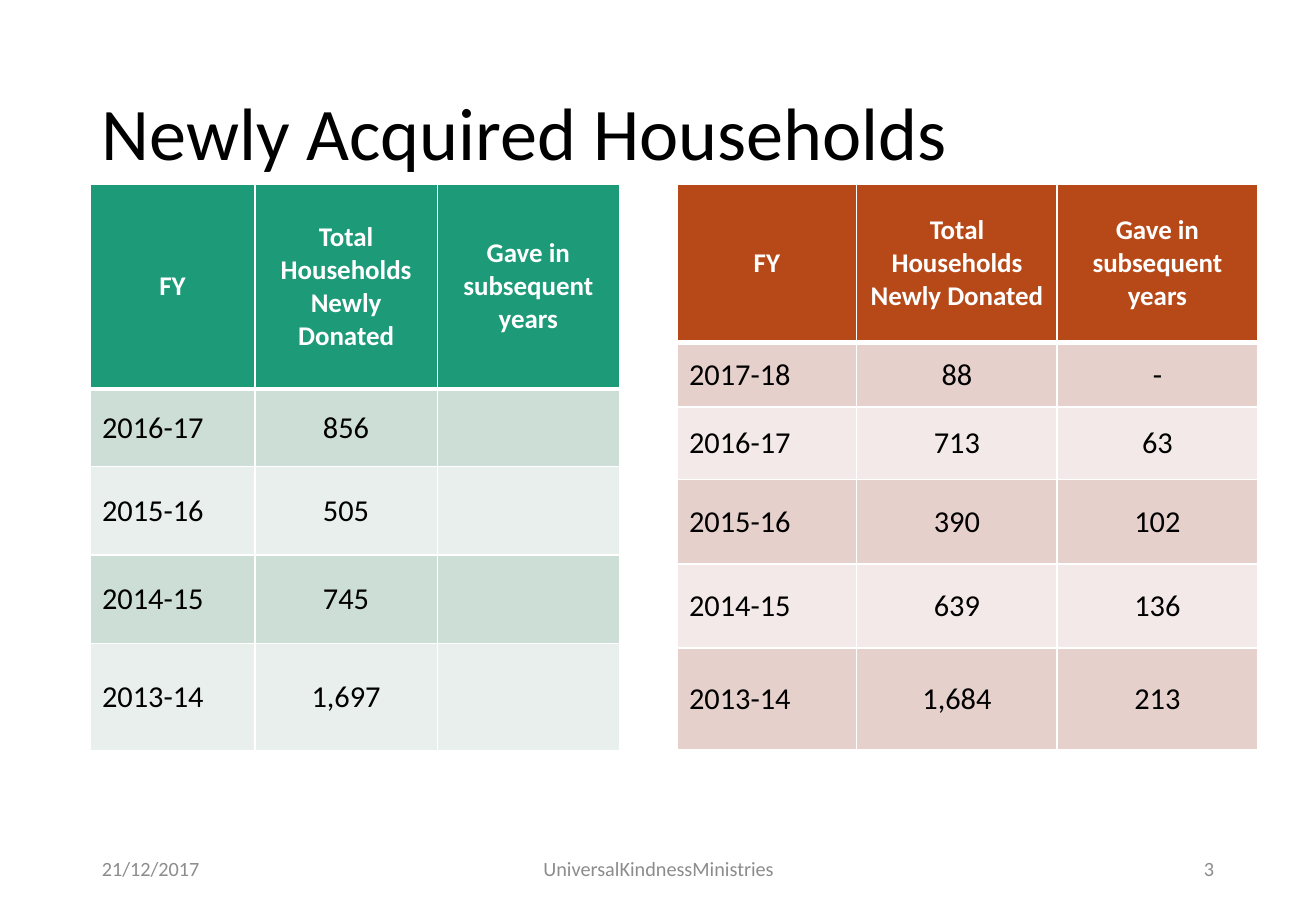
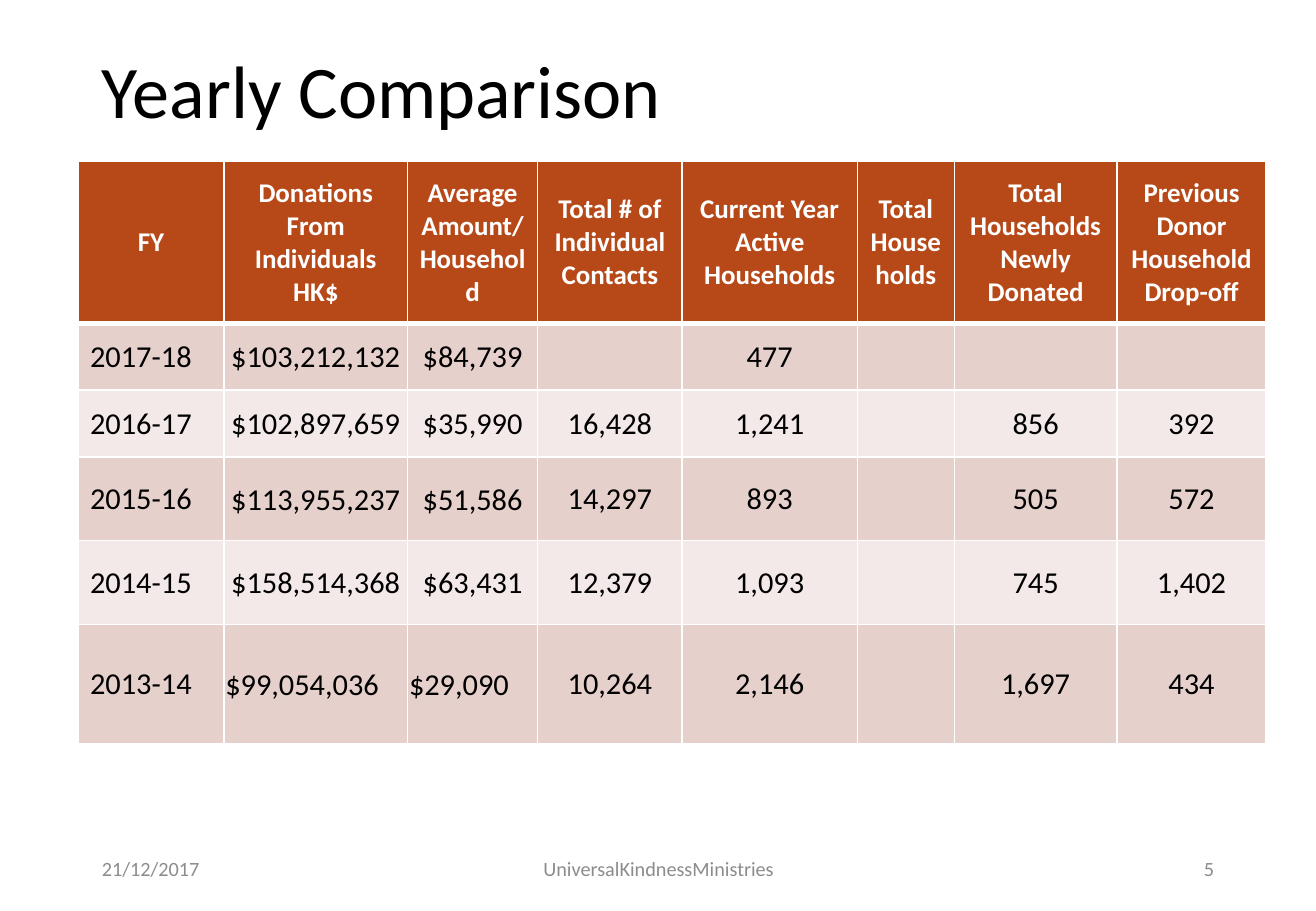
from lxml import etree
from pptx import Presentation
from pptx.dml import color
from pptx.enum import text as t
from pptx.oxml import ns
from pptx.util import Cm, Pt

FONT = "Calibri"
WHITE, BLACK, GREY = "FFFFFF", "000000", "8C8C8C"
GREEN = ("1D9A78", "CDDED6", "E8EFEC")
RUST = ("B74919", "E6D0CC", "F3E9E8")
LEFT, CENTER, RIGHT = t.PP_ALIGN.LEFT, t.PP_ALIGN.CENTER, t.PP_ALIGN.RIGHT
MARGIN = 1.88
MONEY_INSET = Cm(0.03)


def paint(target, hex_color):
    """Apply a solid hex colour to a fill or a font."""
    if hasattr(target, "solid"):
        target.solid()
        target.fore_color.rgb = color.RGBColor.from_string(hex_color)
    else:
        target.color.rgb = color.RGBColor.from_string(hex_color)


def write(frame, content, size=18, ink=BLACK, bold=False, align=LEFT, spacing=None):
    """Write each line of the content as a formatted paragraph."""
    frame.word_wrap = True
    for index, line in enumerate(content.split("\n")):
        paragraph = frame.add_paragraph() if index else frame.paragraphs[0]
        paragraph.alignment = align
        paragraph.line_spacing = spacing
        run = paragraph.add_run()
        run.text = line
        run.font.name, run.font.size, run.font.bold = FONT, Pt(size), bold
        paint(run.font, ink)


def add_label(slide, content, left, top, width, height, **style):
    """Add a vertically centred text box."""
    box = slide.shapes.add_textbox(Cm(left), Cm(top), Cm(width), Cm(height))
    box.text_frame.vertical_anchor = t.MSO_ANCHOR.MIDDLE
    write(box.text_frame, content, **style)


def add_page(deck, title, title_top, number):
    """Add a slide with its title and the shared footer."""
    slide = deck.slides.add_slide(deck.slide_layouts[6])
    add_label(slide, title, MARGIN, title_top, 23.72, 3.68, size=44, spacing=0.9)
    for content, left, width, align in (
        ("21/12/2017", MARGIN, 6.2, LEFT),
        ("UniversalKindnessMinistries", 9.12, 9.3, CENTER),
        (str(number), 19.43, 6.2, RIGHT),
    ):
        add_label(slide, content, left, 17.65, width, 1.02, size=12, ink=GREY, align=align)
    return slide


def add_borders(cell, top, bottom):
    """Draw white cell borders with the given top and bottom widths."""
    properties = cell._tc.get_or_add_tcPr()
    for side, width in (("L", 1), ("R", 1), ("T", top), ("B", bottom)):
        line = etree.SubElement(properties, ns.qn(f"a:ln{side}"), w=str(Pt(width)))
        solid = etree.SubElement(line, ns.qn("a:solidFill"))
        etree.SubElement(solid, ns.qn("a:srgbClr"), val=WHITE)


def add_grid(slide, left, top, widths, heights, palette, records, left_cells=()):
    """Add a table with a coloured header and banded rows."""
    header_fill, *bands = palette
    grid = slide.shapes.add_table(
        len(heights), len(widths), Cm(left), Cm(top), Cm(sum(widths)), Cm(sum(heights))
    ).table
    for column, width in zip(grid.columns, widths):
        column.width = Cm(width)
    for r, (height, record) in enumerate(zip(heights, records)):
        grid.rows[r].height = Cm(height)
        for c, content in enumerate(record):
            cell = grid.cell(r, c)
            cell.vertical_anchor = t.MSO_ANCHOR.MIDDLE
            add_borders(cell, 3 if r == 1 else 1, 3 if r == 0 else 1)
            paint(cell.fill, bands[(r - 1) % 2] if r else header_fill)
            if content.startswith("$"):
                cell.margin_left = cell.margin_right = cell.margin_top = MONEY_INSET
                cell.margin_bottom = 0
            if r == 0:
                write(cell.text_frame, content, size=16, ink=WHITE, bold=True, align=CENTER)
            elif content:
                flush_left = c == 0 or (r, c) in left_cells
                write(cell.text_frame, content, align=LEFT if flush_left else CENTER)


def add_households(deck):
    """Build the slide on newly acquired households."""
    slide = add_page(deck, "Newly Acquired Households", 1.02, 3)
    header = ("FY", "Total Households Newly Donated", "Gave in subsequent years")
    add_grid(slide, MARGIN, 3.86, (3.45, 3.81, 3.81), (4.27, 1.63, 1.85, 1.85, 2.24), GREEN, (
        header,
        ("2016-17", "856", ""),
        ("2015-16", "505", ""),
        ("2014-15", "745", ""),
        ("2013-14", "1,697", ""),
    ))
    add_grid(slide, 14.15, 3.86, (3.76, 4.19, 4.19), (3.3, 1.35, 1.52, 1.76, 1.76, 2.13), RUST, (
        header,
        ("2017-18", "88", "-"),
        ("2016-17", "713", "63"),
        ("2015-16", "390", "102"),
        ("2014-15", "639", "136"),
        ("2013-14", "1,684", "213"),
    ))


def add_comparison(deck):
    """Build the slide comparing the years."""
    slide = add_page(deck, "Yearly Comparison", 0.13, 5)
    widths = (3.05, 3.84, 2.72, 3.02, 3.66, 2.03, 3.4, 3.12)
    heights = (3.38, 1.4, 1.4, 1.75, 1.75, 2.5)
    add_grid(slide, 1.63, 3.38, widths, heights, RUST, (
        ("FY", "Donations\nFrom Individuals\nHK$", "Average Amount/ Household",
         "Total # of\nIndividual Contacts", "Current Year Active Households",
         "Total Households", "Total Households Newly Donated",
         "Previous Donor Household Drop-off"),
        ("2017-18", "$103,212,132", "$84,739", "", "477", "", "", ""),
        ("2016-17", "$102,897,659", "$35,990", "16,428", "1,241", "", "856", "392"),
        ("2015-16", "$113,955,237", "$51,586", "14,297", "893", "", "505", "572"),
        ("2014-15", "$158,514,368", "$63,431", "12,379", "1,093", "", "745", "1,402"),
        ("2013-14", "$99,054,036", "$29,090", "10,264", "2,146", "", "1,697", "434"),
    ), left_cells=((5, 1), (5, 2)))


def main():
    """Build and save the presentation."""
    deck = Presentation()
    deck.slide_width, deck.slide_height = Cm(27.51), Cm(19.05)
    add_households(deck)
    add_comparison(deck)
    deck.save("out.pptx")


if __name__ == "__main__":
    main()
